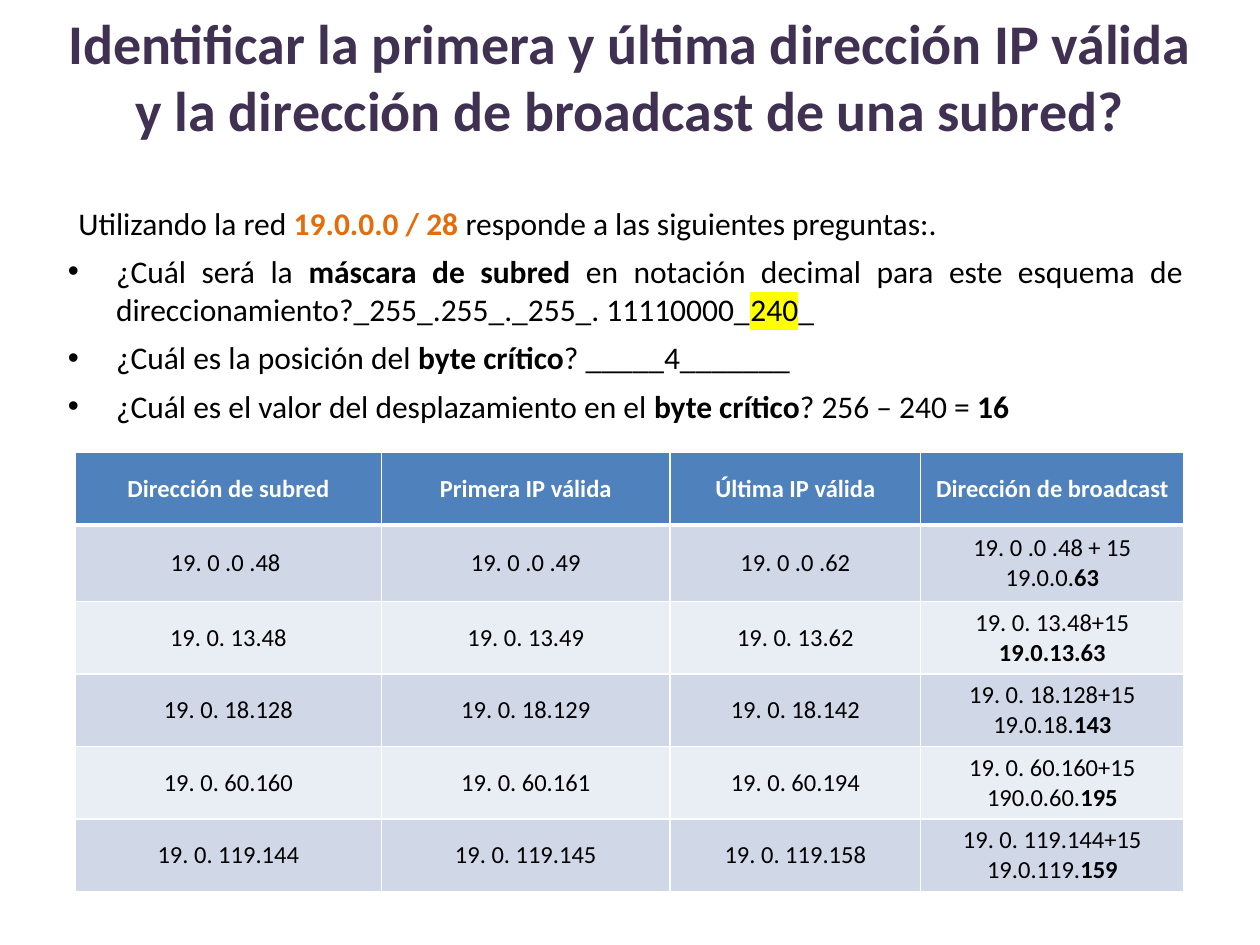
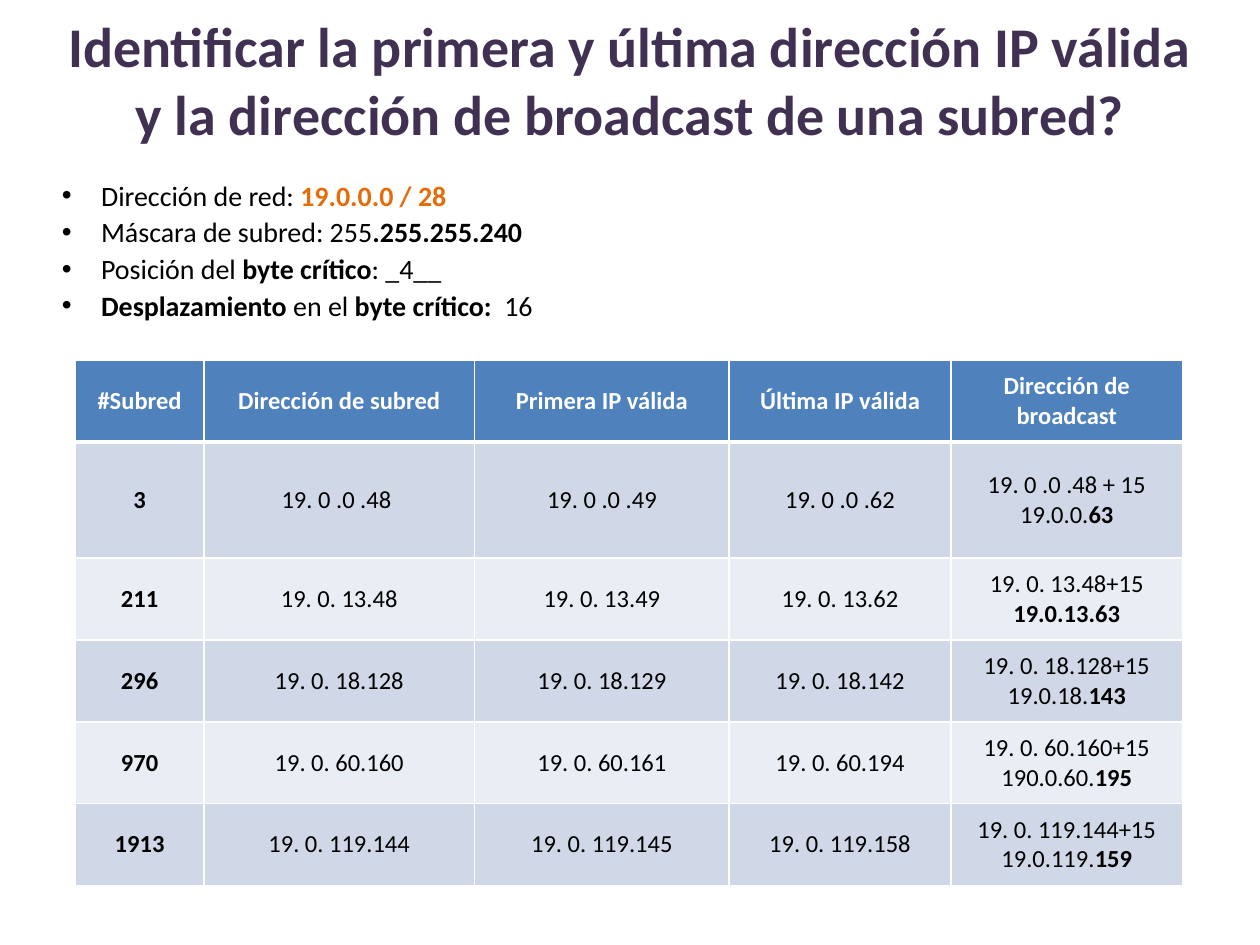
import pptx
import pptx.dml.color
import pptx.enum.text
import pptx.oxml
import pptx.oxml.ns
import pptx.util
from pptx.util import Cm

FONT = "Calibri"
BLACK, WHITE, PURPLE, ORANGE, YELLOW = "000000", "FFFFFF", "403152", "E46C0A", "FFFF00"
HEADER_BLUE, BANDS = "4F81BD", ("D0D8E8", "E9EDF4")
TITLE = "Identificar la primera y última dirección IP válida y la dirección de broadcast de una subred?"
CENTER = pptx.enum.text.PP_ALIGN.CENTER
JUSTIFY = pptx.enum.text.PP_ALIGN.JUSTIFY
MIDDLE = pptx.enum.text.MSO_ANCHOR.MIDDLE


def rgb(color):
    return pptx.dml.color.RGBColor.from_string(color)


def xml(tag, content="", attributes=""):
    namespace = pptx.oxml.ns.nsdecls("a")
    return pptx.oxml.parse_xml(f"<a:{tag} {namespace} {attributes}>{content}</a:{tag}>")


def add_text(paragraph, text, size=14, bold=False, color=BLACK, highlight=None):
    run = paragraph.add_run()
    run.text = text
    font = run.font
    font.name, font.size, font.bold = FONT, pptx.util.Pt(size), bold
    font.color.rgb = rgb(color)
    if highlight:
        fill = run._r.get_or_add_rPr().find(pptx.oxml.ns.qn("a:solidFill"))
        fill.addnext(xml("highlight", f'<a:srgbClr val="{highlight}"/>'))


def bold(text, **extra):
    return text, {"bold": True, **extra}


def write(paragraph, runs, align, **style):
    """Each run is plain text or a pair of text and its own format."""
    paragraph.alignment = align
    for run in runs:
        text, extra = (run, {}) if isinstance(run, str) else run
        add_text(paragraph, text, **{**style, **extra})


class Deck:
    def __init__(self):
        self.presentation = pptx.Presentation()
        self.presentation.slide_width = Cm(25.4)
        self.presentation.slide_height = Cm(19.05)
        self.slide = None

    def start_slide(self, title_top):
        self.slide = self.presentation.slides.add_slide(self.presentation.slide_layouts[5])
        title = self.slide.shapes.title
        title.left, title.top, title.width, title.height = Cm(1.02), Cm(title_top), Cm(23.37), Cm(2.79)
        frame = title.text_frame
        frame.auto_size = pptx.enum.text.MSO_AUTO_SIZE.NONE
        frame.vertical_anchor = MIDDLE
        write(frame.paragraphs[0], [TITLE], CENTER, size=32, bold=True, color=PURPLE)

    def text_box(self, left, top, width, height):
        frame = self.slide.shapes.add_textbox(Cm(left), Cm(top), Cm(width), Cm(height)).text_frame
        frame.word_wrap = True
        frame.margin_left = frame.margin_top = frame.margin_right = frame.margin_bottom = 0
        return frame

    def line(self, frame, runs, size, margin, hanging=0, before=0, spacing=None):
        """Add one justified paragraph; a hanging indent gives it a bullet."""
        first = not frame.paragraphs[0].runs
        paragraph = frame.paragraphs[0] if first else frame.add_paragraph()
        properties = paragraph._p.get_or_add_pPr()
        properties.set("marL", str(Cm(margin)))
        properties.set("indent", str(-Cm(hanging)))
        if hanging:
            properties.append(xml("buFont", attributes='typeface="Arial"'))
            properties.append(xml("buChar", attributes='char="•"'))
        if before and not first:
            paragraph.space_before = pptx.util.Pt(before)
        if spacing:
            paragraph.line_spacing = pptx.util.Pt(spacing)
        write(paragraph, runs, JUSTIFY, size=size)

    def table(self, left, top, widths, heights, header, body):
        table = self.slide.shapes.add_table(
            len(heights), len(widths), Cm(left), Cm(top), Cm(sum(widths)), Cm(sum(heights))
        ).table
        for column, width in zip(table.columns, widths):
            column.width = Cm(width)
        for row, height in zip(table.rows, heights):
            row.height = Cm(height)
        for column, label in enumerate(header):
            self.cell(table.cell(0, column), [[bold(label, color=WHITE)]], HEADER_BLUE, bottom=3)
        for number, row in enumerate(body):
            for column, lines in enumerate(row):
                self.cell(table.cell(number + 1, column), lines, BANDS[number % 2],
                          top=1 if number else 3)

    def cell(self, cell, lines, color, top=1, bottom=1):
        cell.fill.solid()
        cell.fill.fore_color.rgb = rgb(color)
        cell.vertical_anchor = MIDDLE
        properties = cell._tc.get_or_add_tcPr()
        line_fill = f'<a:solidFill><a:srgbClr val="{WHITE}"/></a:solidFill>'
        for place, (side, points) in enumerate(zip("LRTB", (1, 1, top, bottom))):
            border = xml(f"ln{side}", line_fill, f'w="{pptx.util.Pt(points)}"')
            properties.insert(place, border)
        frame = cell.text_frame
        for index, runs in enumerate(lines):
            paragraph = frame.add_paragraph() if index else frame.paragraphs[0]
            write(paragraph, runs, CENTER)


# Subnet data: number, network, first IP, last IP, sum, broadcast address
COLUMNS = ["#Subred", "Dirección de subred", "Primera IP válida", "Última IP válida",
           "Dirección de broadcast"]
SUBNETS = [
    ("3", "19. 0 .0 .48 ", "19. 0 .0 .49", "19. 0 .0 .62", "19. 0 .0 .48 + 15", ["19.0.0.", bold("63")]),
    ("211", "19. 0. 13.48", "19. 0. 13.49", "19. 0. 13.62", "19. 0. 13.48+15", [bold("19.0.13.63")]),
    ("296", "19. 0. 18.128", "19. 0. 18.129", "19. 0. 18.142", "19. 0. 18.128+15",
     ["19.0.18.", bold("143")]),
    ("970", "19. 0. 60.160", "19. 0. 60.161", "19. 0. 60.194", "19. 0. 60.160+15",
     ["190.0.60.", bold("195")]),
    ("1913", "19. 0. 119.144", "19. 0. 119.145", "19. 0. 119.158", "19. 0. 119.144+15",
     ["19.0.119.", bold("159")]),
]
ROWS = [
    [[[bold(number)]], [[network]], [[first]], [[last]], [[total], broadcast]]
    for number, network, first, last, total, broadcast in SUBNETS
]


def questions_slide(deck):
    deck.start_slide(0.13)
    # Questions about the network
    questions = deck.text_box(1.35, 4.11, 22.5, 4.5)
    deck.line(questions, ["Utilizando la red ", bold("19.0.0.0 / 28 ", color=ORANGE),
                          "responde a las siguientes preguntas:."], 18, 0.23)
    for runs in (
        ["¿Cuál será la ", bold("máscara de subred "),
         "en notación decimal para este esquema de direccionamiento?_255_.255_._255_. 11110000_",
         ("240", {"highlight": YELLOW}), "_"],
        ["¿Cuál es la posición del ", bold("byte crítico"), "? _____4_______"],
        ["¿Cuál es el valor del desplazamiento en el ", bold("byte crítico"), "? 256 – 240 = ", bold("16")],
    ):
        deck.line(questions, runs, 18, 0.99, hanging=0.97, before=6)
    # Subnets without their numbers
    deck.table(1.52, 9.12, [6.17, 5.82, 5.05, 5.31], [1.46, 1.55] + [1.46] * 4,
               COLUMNS[1:], [row[1:] for row in ROWS])


def summary_slide(deck):
    deck.start_slide(0.2)
    # Facts about the network
    facts = deck.text_box(1.02, 3.53, 23.11, 2.95)
    for runs in (
        ["Dirección de red: ", bold("19.0.0.0 / 28", color=ORANGE)],
        ["Máscara de subred: 255", bold(".255.255.240")],
        ["Posición del ", bold("byte crítico"), ": _4__"],
        [bold("Desplazamiento "), "en el ", bold("byte crítico: "), " 16"],
    ):
        deck.line(facts, runs, 16, 1.02, hanging=0.79, spacing=21)
    # Numbered subnets
    deck.table(1.52, 7.26, [2.59, 5.46, 5.13, 4.47, 4.67], [1.65, 2.34] + [1.65] * 4, COLUMNS, ROWS)


def main():
    deck = Deck()
    questions_slide(deck)
    summary_slide(deck)
    deck.presentation.save("out.pptx")


if __name__ == "__main__":
    main()
